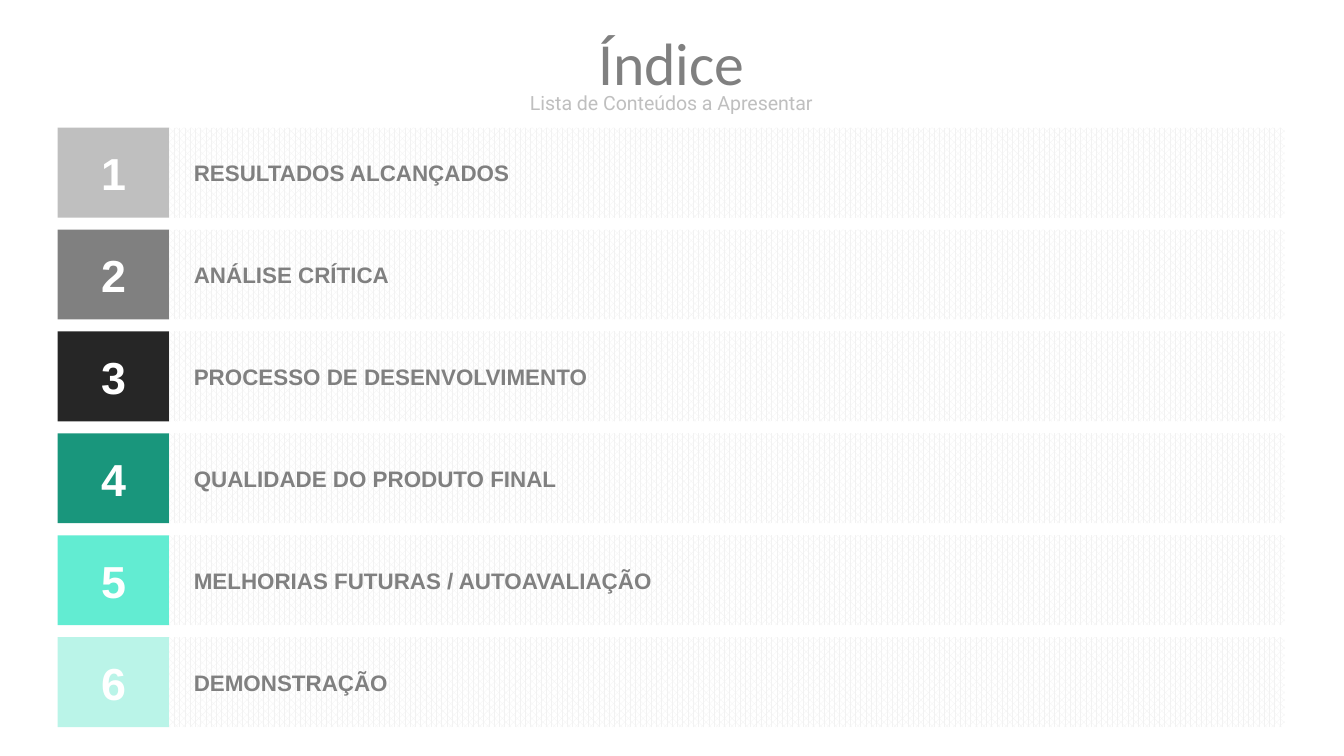
from pptx import Presentation
from pptx.dml.color import RGBColor
from pptx.enum.dml import MSO_PATTERN
from pptx.enum.shapes import MSO_SHAPE
from pptx.enum.text import MSO_ANCHOR, PP_ALIGN
from pptx.util import Inches, Pt

RECT = MSO_SHAPE.RECTANGLE
DOTS = MSO_PATTERN.PERCENT_75
MIDDLE = MSO_ANCHOR.MIDDLE
LEFT, CENTER = PP_ALIGN.LEFT, PP_ALIGN.CENTER

COLORS = {
    "white": "FFFFFF", "pale": "F2F2F2", "silver": "BFBFBF", "gray": "808080",
    "black": "262626", "green": "19967C", "mint": "62ECD2", "ice": "BAF4E8",
}
FORMATS = {
    "title": {"name": "Calibri", "size": Pt(32), "color": "gray"},
    "subtitle": {"name": "Roboto", "size": Pt(10.5), "color": "silver"},
    "number": {"name": "Arial", "size": Pt(24), "bold": True, "color": "white"},
    "topic": {"name": "Arial", "size": Pt(12), "bold": True, "color": "gray"},
}
TOPICS = [
    ("RESULTADOS ALCANÇADOS", "silver"),
    ("ANÁLISE CRÍTICA", "gray"),
    ("PROCESSO DE DESENVOLVIMENTO", "black"),
    ("QUALIDADE DO PRODUTO FINAL", "green"),
    ("MELHORIAS FUTURAS / AUTOAVALIAÇÃO", "mint"),
    ("DEMONSTRAÇÃO", "ice"),
]
ROW_SHARE = 0.15
COLUMNS = 11


def rgb(name):
    return RGBColor.from_string(COLORS[name])


def write(s, text, style, align):
    tf = s.text_frame
    tf.vertical_anchor = MIDDLE
    p = tf.paragraphs[0]
    p.alignment = align
    r = p.add_run()
    r.text = text
    for key, value in FORMATS[style].items():
        if key == "color":
            r.font.color.rgb = rgb(value)
        else:
            setattr(r.font, key, value)


def add_label(slide, box, text, style, align):
    s = slide.shapes.add_textbox(*map(Inches, box))
    tf = s.text_frame
    tf.word_wrap = True
    for side in ("left", "top", "right", "bottom"):
        setattr(tf, f"margin_{side}", 0)
    write(s, text, style, align)


def add_block(slide, box):
    s = slide.shapes.add_shape(RECT, *map(Inches, box))
    s.shadow.inherit = False
    s.line.fill.background()
    return s


def add_heading(slide, box):
    x, y, w, h = box
    add_label(slide, (x, y + h * 0.72, w, h * 0.28), "Lista de Conteúdos a Apresentar", "subtitle", CENTER)
    add_label(slide, (x, y, w, h * 0.81), "Índice", "title", CENTER)


def add_topic(slide, box, number, topic, color):
    x, y, w, h = box
    column = w / COLUMNS
    badge = add_block(slide, (x, y, column, h))
    badge.fill.solid()
    badge.fill.fore_color.rgb = rgb(color)
    write(badge, str(number), "number", CENTER)

    band = add_block(slide, (x + column, y, w - column, h))
    band.fill.patterned()
    band.fill.pattern = DOTS
    band.fill.fore_color.rgb = rgb("pale")
    band.fill.back_color.rgb = rgb("white")

    label = (x + column * 1.22, y + h * 0.35, column * 9.5, h * 0.3)
    add_label(slide, label, topic, "topic", LEFT)


def add_index(slide, box):
    x, y, w, h = box
    row = h * ROW_SHARE
    pitch = (h - row) / (len(TOPICS) - 1)
    for i, (topic, color) in enumerate(TOPICS):
        add_topic(slide, (x, y + i * pitch, w, row), i + 1, topic, color)


def main():
    prs = Presentation()
    prs.slide_width = Inches(10)
    prs.slide_height = prs.slide_width * 9 // 16
    slide = prs.slides.add_slide(prs.slide_layouts[6])
    add_heading(slide, (0.42, 0.19, 9.15, 0.67))
    add_index(slide, (0.43, 0.95, 9.13, 4.46))
    prs.save("out.pptx")


if __name__ == "__main__":
    main()
